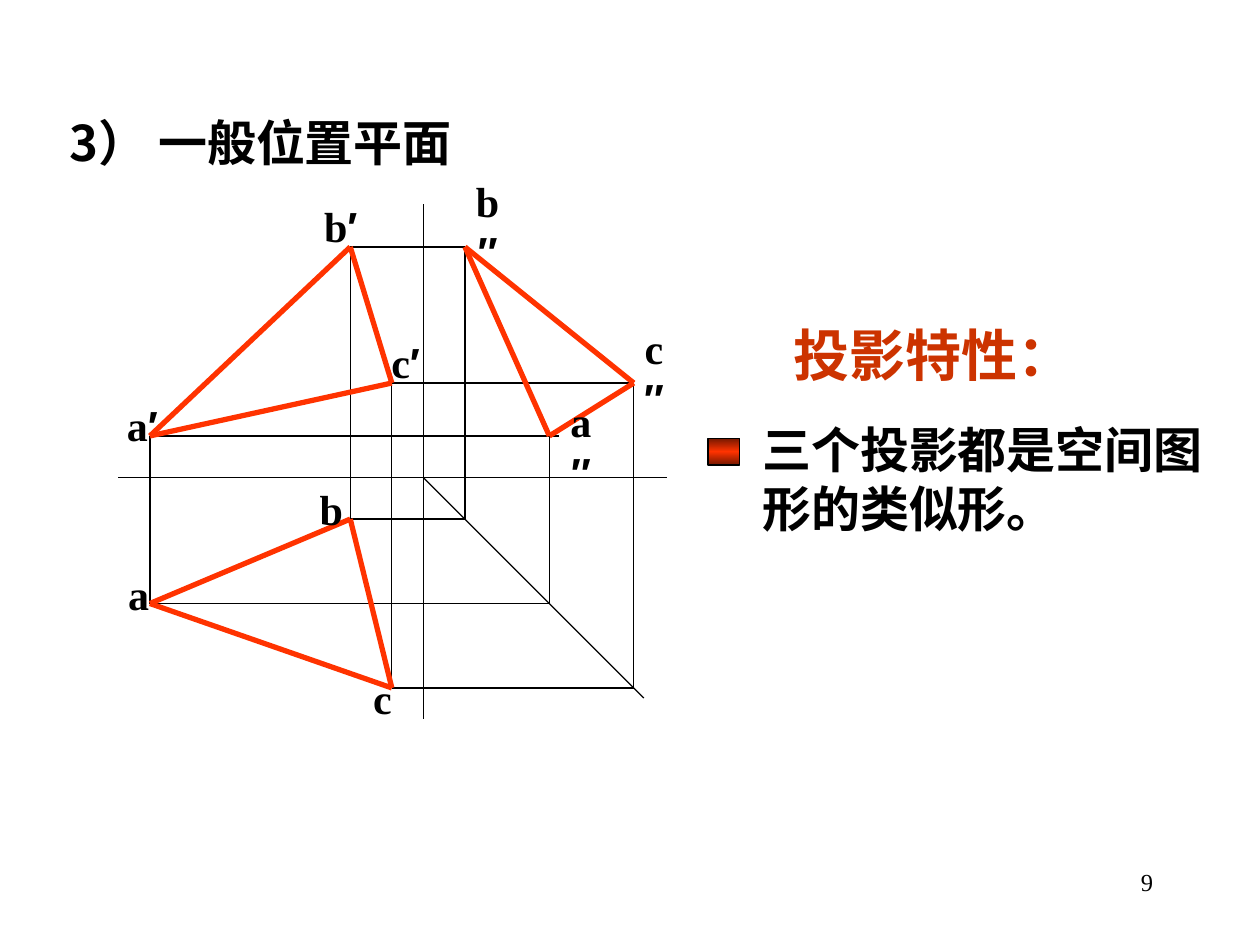
import copy

import lxml.etree
import pptx
import pptx.dml.color
import pptx.enum.shapes
import pptx.enum.text
import pptx.oxml.ns
import pptx.util

Inches = pptx.util.Inches
Align = pptx.enum.text.PP_ALIGN
Anchor = pptx.enum.text.MSO_ANCHOR
COLORS = {"black": "000000", "edge": "FF3300", "heading": "CC3300", "dark": "761800"}
LATIN = "Times New Roman"
CHINESE = "Noto Sans CJK SC"


def color(name):
    return pptx.dml.color.RGBColor.from_string(COLORS[name])


def qualified(tag):
    return pptx.oxml.ns.qn(tag)


def add_run(paragraph, text, size=24, bold=True, font=LATIN, fill="black"):
    run = paragraph.add_run()
    run.text = text
    run.font.size = pptx.util.Pt(size)
    run.font.bold = bold
    run.font.name = font
    run.font.color.rgb = color(fill)
    east_asian = lxml.etree.SubElement(run.font._element, qualified("a:ea"))
    east_asian.set("typeface", CHINESE)


class SlideBuilder:
    def __init__(self, presentation):
        self.slide = presentation.slides.add_slide(presentation.slide_layouts[1])

    def frame(self, shape, box, align=Align.LEFT, anchor=Anchor.MIDDLE, wrap=True, inset=0.1):
        shape.left, shape.top, shape.width, shape.height = map(Inches, box)
        text_frame = shape.text_frame
        text_frame.auto_size = pptx.enum.text.MSO_AUTO_SIZE.NONE
        text_frame.word_wrap = wrap
        text_frame.vertical_anchor = anchor
        text_frame.margin_left = text_frame.margin_right = Inches(inset)
        text_frame.margin_top = text_frame.margin_bottom = Inches(0.05)
        paragraph = text_frame.paragraphs[0]
        paragraph.alignment = align
        paragraph.space_before = pptx.util.Pt(0)
        return paragraph

    def title(self, text, box):
        add_run(self.frame(self.slide.shapes.title, box), text, size=28, font=CHINESE)

    def body(self, text, box):
        paragraph = self.frame(self.slide.placeholders[1], box)
        properties = paragraph._p.get_or_add_pPr()
        properties.set("marL", "0")
        properties.set("indent", "0")
        lxml.etree.SubElement(properties, qualified("a:buNone"))
        add_run(paragraph, text, size=28)

    def text(self, text, box, align=Align.CENTER, anchor=Anchor.MIDDLE, wrap=False, **style):
        shape = self.slide.shapes.add_textbox(0, 0, 0, 0)
        add_run(self.frame(shape, box, align, anchor, wrap), text, **style)

    def label(self, letter, prime, left, top, width):
        shape = self.slide.shapes.add_textbox(0, 0, 0, 0)
        stacked = prime == "″"
        paragraph = self.frame(shape, (left, top, width, 0.5), Align.CENTER,
                               wrap=stacked, inset=0.15 if stacked else 0.1)
        add_run(paragraph, letter)
        if prime:
            add_run(paragraph, prime, font="Arial")

    def line(self, start, end, stroke="black", width=0.75):
        connector = self.slide.shapes.add_connector(
            pptx.enum.shapes.MSO_CONNECTOR.STRAIGHT, *map(Inches, (*start, *end)))
        connector.line.color.rgb = color(stroke)
        connector.line.width = pptx.util.Pt(width)
        lxml.etree.SubElement(connector._element.spPr, qualified("a:effectLst"))

    def triangle(self, corners):
        for index, corner in enumerate(corners):
            self.line(corner, corners[(index + 1) % 3], "edge", 3)

    def bullet_square(self, box):
        shape = self.slide.shapes.add_shape(
            pptx.enum.shapes.MSO_SHAPE.RECTANGLE, *map(Inches, box))
        shape.shadow.inherit = False
        shape.line.color.rgb = color("black")
        shape.line.width = pptx.util.Pt(0.75)
        shape.fill.gradient()
        shape.fill.gradient_angle = 90
        stop_list = shape._element.spPr.find(".//" + qualified("a:gsLst"))
        stop_list.append(copy.deepcopy(stop_list[-1]))
        stops = zip(shape.fill.gradient_stops, (0, 0.5, 1), ("dark", "edge", "dark"))
        for stop, position, name in stops:
            stop.position = position
            stop.color.rgb = color(name)


def draw_projections(builder):
    origin_x, origin_y = 3.36, 3.79
    points = {"a": (1.19, 3.46, 4.79), "b": (2.78, 1.96, 4.12), "c": (3.11, 3.04, 5.46)}
    overshoot = {"a": 0.08}
    builder.line((0.94, origin_y), (5.29, origin_y))
    builder.line((origin_x, 1.62), (origin_x, 5.71))
    builder.line((origin_x, origin_y), (origin_x + 1.75, origin_y + 1.75))

    front, top, side = [], [], []
    for name, (x, front_y, top_y) in points.items():
        side_x = origin_x + top_y - origin_y
        front.append((x, front_y))
        top.append((x, top_y))
        side.append((side_x, front_y))
        builder.line((x, top_y), (x, front_y))
        builder.line((x, front_y), (side_x + overshoot.get(name, 0), front_y))
        builder.line((x, top_y), (side_x, top_y))
        builder.line((side_x, top_y), (side_x, front_y))
    for corners in (front, top, side):
        builder.triangle(corners)

    for label in (
        ("a", "′", 0.89, 3.12, 0.48), ("b", "′", 2.46, 1.54, 0.49), ("c", "′", 2.99, 2.62, 0.46),
        ("a", "″", 4.35, 3.29, 0.52), ("b", "″", 3.6, 1.54, 0.54), ("c", "″", 4.94, 2.71, 0.5),
        ("a", "", 0.92, 4.46, 0.36), ("b", "", 2.44, 3.79, 0.38), ("c", "", 2.86, 5.29, 0.35),
    ):
        builder.label(*label)


def main():
    presentation = pptx.Presentation()
    presentation.slide_width = Inches(10)
    presentation.slide_height = Inches(7.5)
    builder = SlideBuilder(presentation)
    builder.title("3） 一般位置平面", (0.45, 0.84, 4.71, 0.57))
    draw_projections(builder)
    builder.text("投影特性：", (6.2, 2.49, 2.42, 0.64), size=32, fill="heading")
    builder.bullet_square((5.62, 3.48, 0.25, 0.21))
    builder.body("三个投影都是空间图形的类似形。", (5.95, 3.28, 3.7, 1.04))
    builder.text("9", (7.17, 6.83, 2.08, 0.5), align=Align.RIGHT, anchor=Anchor.TOP,
                 wrap=True, size=14, bold=False)
    presentation.save("out.pptx")


if __name__ == "__main__":
    main()
